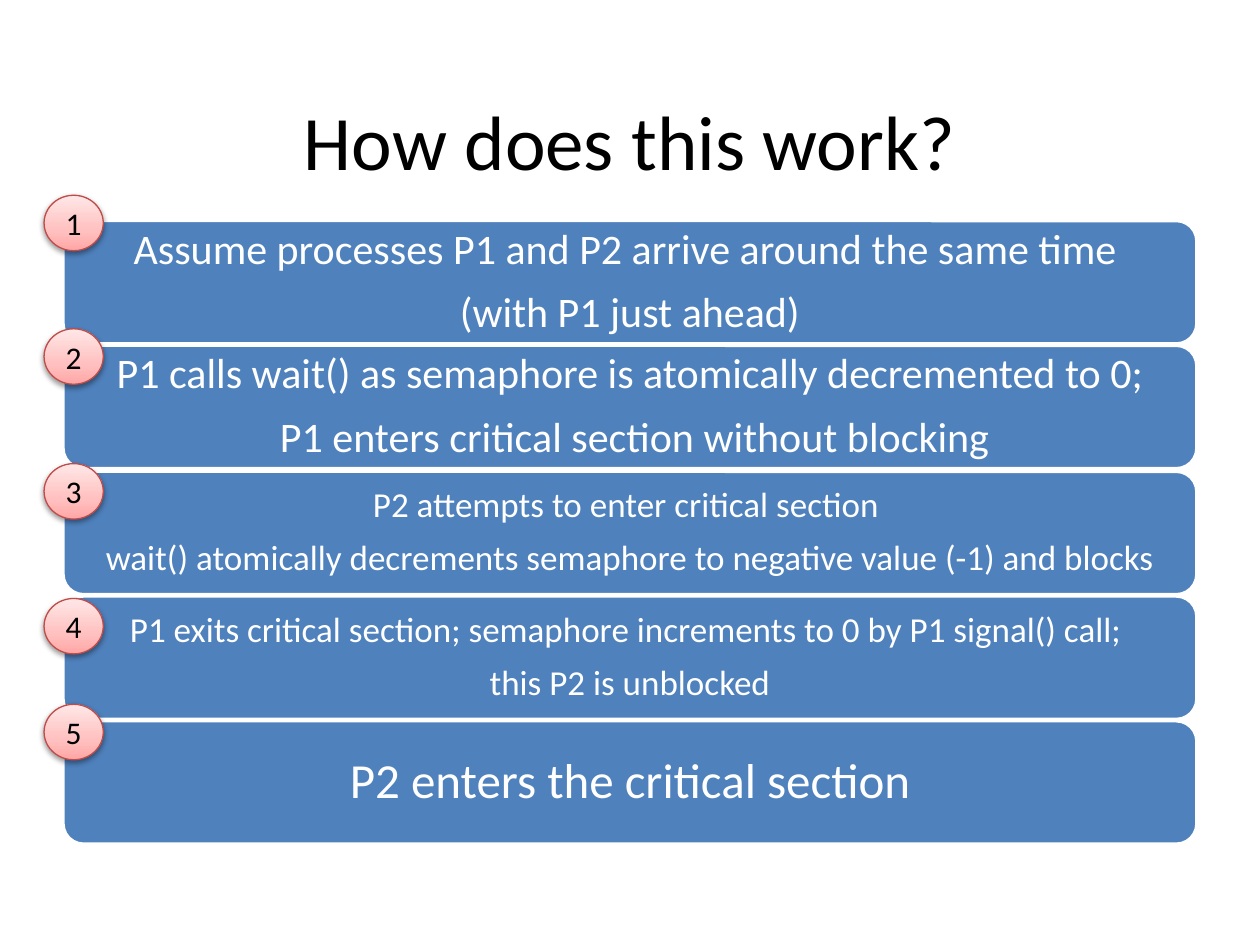
from lxml.etree import SubElement
from pptx import Presentation
from pptx.dml.color import RGBColor
from pptx.enum.shapes import MSO_SHAPE as Shape
from pptx.enum.text import MSO_ANCHOR as Anchor, PP_ALIGN as Align
from pptx.oxml.ns import qn
from pptx.util import Inches, Pt

BLUE, WHITE, BLACK, RED = "4F81BD", "FFFFFF", "000000", "BF4C48"
BADGE_STOPS = [(0, "FFA6A5"), (35, "FFC0BF"), (100, "FFE7E7")]

# Lines, text size, inset and badge top of each step
STEPS = [
    (["Assume processes P1 and P2 arrive around the same time ",
      "(with P1 just ahead)"], 24, 0.1, 1.55),
    (["P1 calls wait() as semaphore is atomically decremented to 0;",
      " P1 enters critical section without blocking"], 24, 0.1, 2.61),
    (["P2 attempts to enter critical section ",
      "wait() atomically decrements semaphore to negative value (-1) and blocks"],
     20, 0.08, 3.68),
    (["P1 exits critical section; semaphore increments to 0 by P1 signal() call; ",
      "this P2 is unblocked"], 20, 0.08, 4.75),
    (["P2 enters the critical section"], 28, 0.12, 5.59),
]
FIRST_TOP, STEP_PITCH = 1.75, 0.993


def rgb(value):
    return RGBColor.from_string(value)


def write(shape, lines, size, color, inset=0.1, wrap=True, spacing=None, after=None):
    frame = shape.text_frame
    frame.word_wrap = wrap
    frame.vertical_anchor = Anchor.MIDDLE
    frame.margin_left = frame.margin_right = Inches(inset)
    frame.margin_top = frame.margin_bottom = Inches(inset)
    for index, line in enumerate(lines):
        paragraph = frame.add_paragraph() if index else frame.paragraphs[0]
        paragraph.alignment = Align.CENTER
        paragraph.line_spacing = spacing
        paragraph.space_after = after
        run = paragraph.add_run()
        run.text = line
        run.font.size = Pt(size)
        run.font.name = "Calibri"
        run.font.color.rgb = rgb(color)


def add_outlined(slide, kind, left, top, width, height, line, line_width):
    shape = slide.shapes.add_shape(
        kind, Inches(left), Inches(top), Inches(width), Inches(height))
    shape.shadow.inherit = False
    shape.line.color.rgb = rgb(line)
    shape.line.width = Pt(line_width)
    return shape


def add_color(parent, value):
    return SubElement(parent, qn("a:srgbClr"), val=value)


def set_gradient(shape, stops):
    shape.fill.gradient()
    shape.fill.gradient_angle = 90
    stop_list = shape.element.spPr.find(".//" + qn("a:gsLst"))
    for stop in list(stop_list):
        stop_list.remove(stop)
    for position, color in stops:
        add_color(SubElement(stop_list, qn("a:gs"), pos=str(position * 1000)), color)


def set_shadow(shape, color, opacity, blur, distance):
    effects = shape.element.spPr.find(qn("a:effectLst"))
    shadow = SubElement(
        effects, qn("a:outerShdw"), blurRad=str(Pt(blur)), dist=str(Pt(distance)),
        dir="5400000", rotWithShape="0")
    SubElement(add_color(shadow, color), qn("a:alpha"), val=str(opacity * 1000))


def add_step(slide, top, lines, size, inset):
    step = add_outlined(slide, Shape.ROUNDED_RECTANGLE, 0.5, top, 9, 0.98, WHITE, 2)
    step.fill.solid()
    step.fill.fore_color.rgb = rgb(BLUE)
    # The gap after a line is 35% of the line height
    write(step, lines, size, WHITE, inset, spacing=0.9, after=Pt(round(size * 0.43, 1)))


def add_badge(slide, top, number):
    badge = add_outlined(slide, Shape.OVAL, 0.35, top, 0.47, 0.44, RED, 0.75)
    set_gradient(badge, BADGE_STOPS)
    set_shadow(badge, BLACK, 38, 3.1, 1.6)
    write(badge, [str(number)], 18, BLACK, inset=0, wrap=False)


def add_title(slide, text):
    title = slide.shapes.title
    title.left, title.top = Inches(0.5), Inches(0.48)
    title.width, title.height = Inches(9), Inches(1.25)
    write(title, [text], 44, BLACK)


def main():
    deck = Presentation()
    deck.slide_width, deck.slide_height = Inches(10), Inches(7.5)
    slide = deck.slides.add_slide(deck.slide_layouts[5])
    add_title(slide, "How does this work?")

    # Step bars first, so that the badges lie on top
    for index, (lines, size, inset, _) in enumerate(STEPS):
        add_step(slide, round(FIRST_TOP + index * STEP_PITCH, 2), lines, size, inset)
    for number, (*_, badge_top) in enumerate(STEPS, start=1):
        add_badge(slide, badge_top, number)

    deck.save("out.pptx")


if __name__ == "__main__":
    main()
